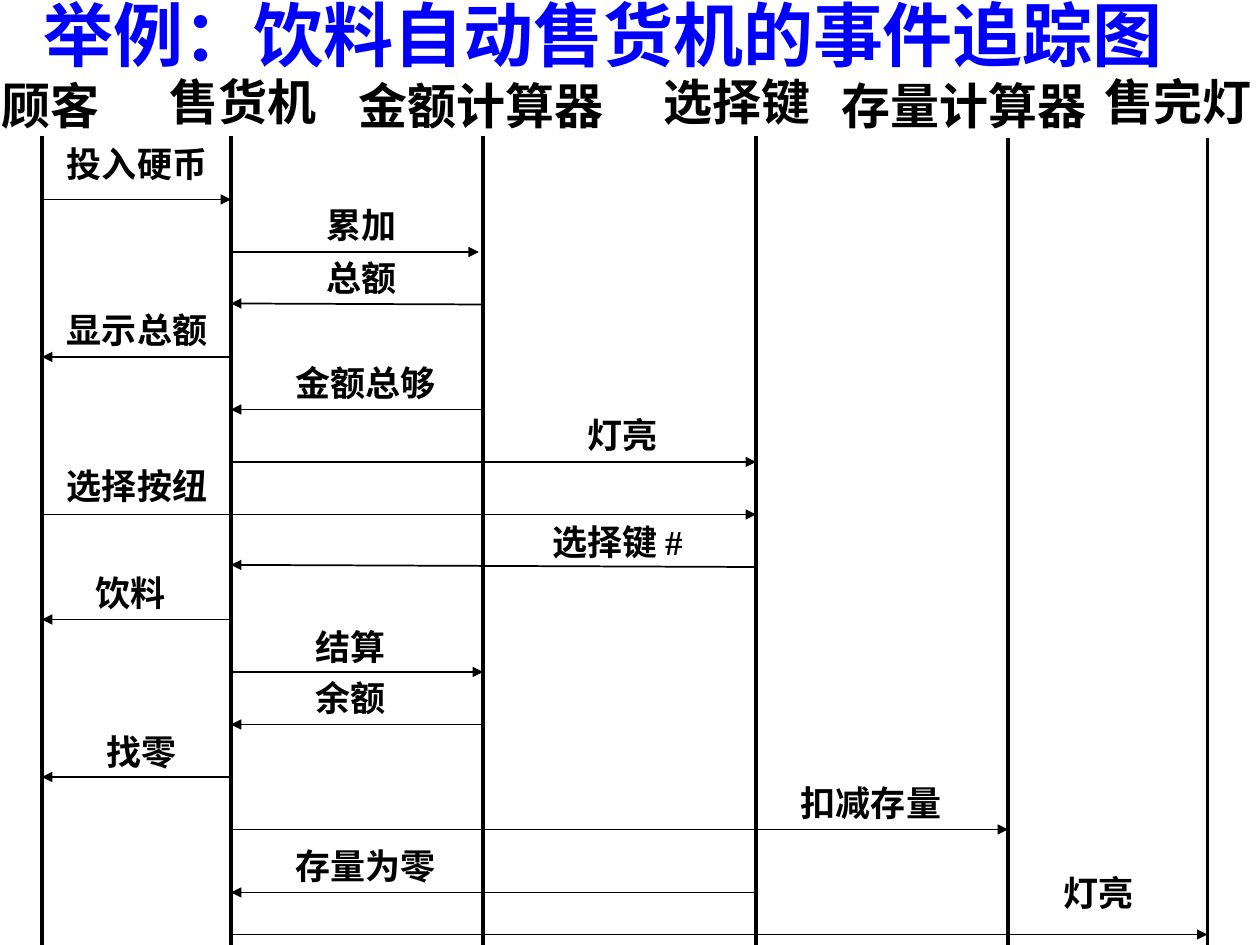
from dataclasses import dataclass

from lxml import etree
from pptx import Presentation
from pptx.dml.color import RGBColor
from pptx.enum.shapes import MSO_CONNECTOR
from pptx.enum.text import MSO_AUTO_SIZE
from pptx.oxml.ns import qn
from pptx.util import Inches, Pt

STRAIGHT = MSO_CONNECTOR.STRAIGHT
GROW = MSO_AUTO_SIZE.SHAPE_TO_FIT_TEXT

COLUMNS, ROWS = 120, 90
CELL = Inches(10) / COLUMNS
BLACK, BLUE = "000000", "0000FF"
CJK_FONT, LATIN_FONT = "Noto Sans CJK SC", "Times New Roman"
FIRST_MESSAGE_ROW, MESSAGE_STEP, LABEL_LIFT = 19, 5, 5.2


@dataclass(frozen=True)
class Lifeline:
    name: str
    column: float
    name_column: float
    name_row: float
    top: float = 13


@dataclass(frozen=True)
class Message:
    text: str
    sender: Lifeline
    receiver: Lifeline
    label_column: float
    label_width: float = 0
    lift: float = LABEL_LIFT
    drop: float = 0
    rise: float = 0
    gap: float = 0


CUSTOMER = Lifeline("顾客", 4, -1, 6.6)
MACHINE = Lifeline("售货机", 22, 15, 6.2)
AMOUNT = Lifeline("金额计算器", 46, 33, 6.6)
KEYS = Lifeline("选择键", 72, 62, 6.2)
STOCK = Lifeline("存量计算器", 96, 79, 6.6, 13.1)
SOLD_OUT = Lifeline("售完灯", 115, 104, 6.2, 13.1)
LIFELINES = [CUSTOMER, MACHINE, AMOUNT, KEYS, STOCK, SOLD_OUT]

MESSAGES = [
    Message("投入硬币", CUSTOMER, MACHINE, 5.2, lift=6),
    Message("累加", MACHINE, AMOUNT, 29.9, gap=0.4),
    Message("总额", AMOUNT, MACHINE, 29.9, rise=0.1),
    Message("显示总额", MACHINE, CUSTOMER, 5.2),
    Message("金额总够", AMOUNT, MACHINE, 27),
    Message("灯亮", MACHINE, KEYS, 54.8),
    Message("选择按纽", CUSTOMER, KEYS, 5.2, lift=5.4),
    Message("选择键 #", KEYS, MACHINE, 51.4, 19.7, lift=5, rise=0.2),
    Message("饮料", MACHINE, CUSTOMER, 7.9),
    Message("结算", MACHINE, AMOUNT, 28.9, lift=5),
    Message("余额", AMOUNT, MACHINE, 28.9),
    Message("找零", MACHINE, CUSTOMER, 9, 15, lift=5),
    Message("扣减存量", MACHINE, STOCK, 75.1, 15.9),
    Message("存量为零", KEYS, MACHINE, 27, drop=1),
    Message("灯亮", MACHINE, SOLD_OUT, 100.1, 11, lift=6.6),
]


def grid(cells: float) -> int:
    return round(cells * CELL)


def colour(value: str) -> RGBColor:
    return RGBColor.from_string(value)


def add_text(slide, text: str, column: float, row: float, *, size: int,
             width: float = 0, font: str = LATIN_FONT, fill: str = BLACK) -> None:
    box_width = width or len(text) * size / 6 + 2.4
    box_height = size / 5 + 1.2
    box = slide.shapes.add_textbox(
        grid(column), grid(row), grid(box_width), grid(box_height))
    frame = box.text_frame
    frame.word_wrap = bool(width)
    frame.auto_size = GROW
    run = frame.paragraphs[0].add_run()
    run.text = text
    run.font.size = Pt(size)
    run.font.bold = True
    run.font.color.rgb = colour(fill)
    run.font.name = font
    east_asian = etree.Element(qn("a:ea"), typeface=CJK_FONT)
    run.font._element.find(qn("a:latin")).addnext(east_asian)


def add_line(slide, x1: float, y1: float, x2: float, y2: float, *,
             weight: float, arrow: bool = False) -> None:
    line = slide.shapes.add_connector(
        STRAIGHT, grid(x1), grid(y1), grid(x2), grid(y2))
    line.line.color.rgb = colour(BLACK)
    line.line.width = Pt(weight)
    if arrow:
        etree.SubElement(line.line._get_or_add_ln(), qn("a:tailEnd"), type="triangle")
    etree.SubElement(line._element.spPr, qn("a:effectLst"))


def draw_lifeline(slide, lifeline: Lifeline) -> None:
    add_line(slide, lifeline.column, lifeline.top, lifeline.column, ROWS, weight=2.25)
    add_text(slide, lifeline.name, lifeline.name_column, lifeline.name_row, size=28)


def draw_message(slide, index: int, message: Message) -> None:
    row = FIRST_MESSAGE_ROW + index * MESSAGE_STEP + message.drop
    add_line(slide, message.sender.column, row,
             message.receiver.column - message.gap, row - message.rise,
             weight=1, arrow=True)
    add_text(slide, message.text, message.label_column, row - message.lift,
             size=20, width=message.label_width)


def main() -> None:
    deck = Presentation()
    deck.slide_width = grid(COLUMNS)
    deck.slide_height = grid(ROWS)
    slide = deck.slides.add_slide(deck.slide_layouts[6])
    add_text(slide, "举例：饮料自动售货机的事件追踪图", 3, -1.4,
             size=40, font=CJK_FONT, fill=BLUE)
    for lifeline in LIFELINES:
        draw_lifeline(slide, lifeline)
    for index, message in enumerate(MESSAGES):
        draw_message(slide, index, message)
    deck.save("out.pptx")


if __name__ == "__main__":
    main()
